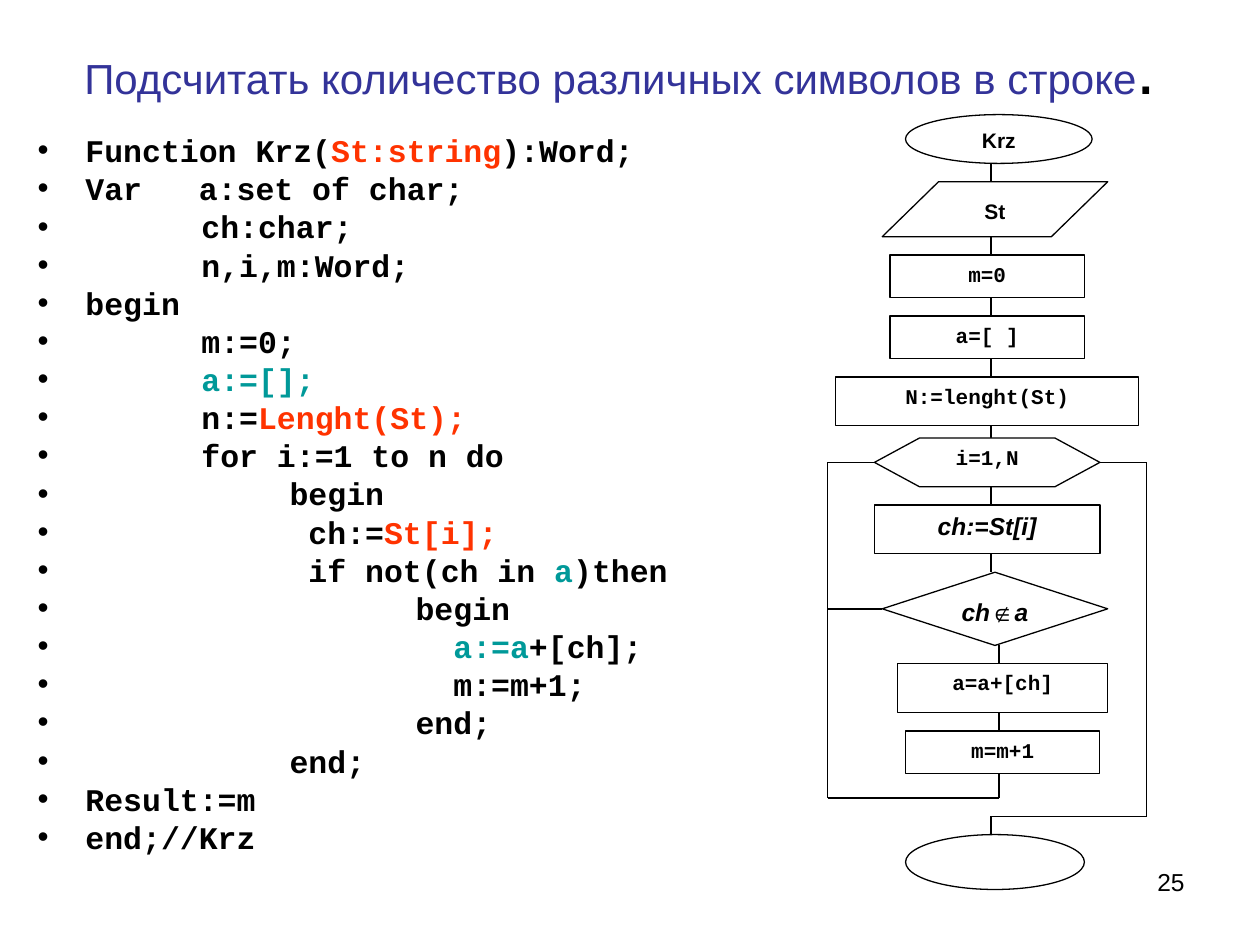
import pptx
import pptx.util
import pptx.dml.color
import pptx.enum.shapes
import pptx.enum.text
import lxml.etree

Inch, Pt = pptx.util.Inches, pptx.util.Pt
Kind = pptx.enum.shapes.MSO_SHAPE
Align = pptx.enum.text.PP_ALIGN
Anchor = pptx.enum.text.MSO_ANCHOR
NS = "http://schemas.openxmlformats.org/drawingml/2006/main"
HUES = {"ink": "000000", "title": "333399", "paper": "FFFFFF",
        "red": "FF3300", "teal": "009999"}
WIDE, HIGH = 10, 7.5
SANS, MONO = "Arial", "Courier New"

# Code lines: tab depth, then runs of text and colour
CODE = [
    (0, ("Function Krz(", "ink"), ("St:string", "red"), ("):Word;", "ink")),
    (0, ("Var   a:set of char;", "ink")),
    (1, ("  ch:char;", "ink")),
    (1, ("  n,i,m:Word;", "ink")),
    (0, ("begin", "ink")),
    (1, ("  m:=0;", "ink")),
    (1, ("  ", "ink"), ("a:=[];", "teal")),
    (1, ("  n:=", "ink"), ("Lenght(St);", "red")),
    (1, ("  for i:=1 to n do", "ink")),
    (2, ("begin", "ink")),
    (2, (" ch:=", "ink"), ("St[i];", "red")),
    (2, (" if not(ch in ", "ink"), ("a", "teal"), (")then", "ink")),
    (3, ("begin", "ink")),
    (3, ("  ", "ink"), ("a:=a", "teal"), ("+[ch];", "ink")),
    (3, ("  m:=m+1;", "ink")),
    (3, ("end;", "ink")),
    (2, ("end;", "ink")),
    (0, ("Result:=m", "ink")),
    (0, ("end;//Krz", "ink")),
]

# Flowchart steps on the grid: kind, left, right, top, bottom, text, font, size
COLS, ROWS = 41, 127
STEPS = [
    (Kind.OVAL, 10, 34, 0, 8, "Krz", SANS, 12),
    (Kind.PARALLELOGRAM, 7, 36, 11, 20, "St", SANS, 12),
    (Kind.RECTANGLE, 8, 33, 23, 30, "m=0", MONO, 12),
    (Kind.RECTANGLE, 8, 33, 33, 40, "a=[ ]", MONO, 12),
    (Kind.RECTANGLE, 1, 40, 43, 51, "N:=lenght(St)", MONO, 12),
    (Kind.FLOWCHART_PREPARATION, 6, 35, 53, 61, "i=1,N", MONO, 12),
    (Kind.RECTANGLE, 6, 35, 64, 72, "ch:=St[i]", SANS, 14),
    (Kind.FLOWCHART_DECISION, 7, 36, 75, 87, "ch∉a", SANS, 14),
    (Kind.RECTANGLE, 9, 36, 90, 98, "a=a+[ch]", MONO, 12),
    (Kind.RECTANGLE, 10, 35, 101, 108, "m=m+1", MONO, 12),
    (Kind.OVAL, 10, 33, 118, 127, "", SANS, 12),
]
# Loop paths: corner points as column, row
PATHS = [
    [(22, 108), (22, 112), (0, 112), (0, 57), (6, 57)],
    [(7, 81), (0, 81)],
    [(35, 57), (41, 57), (41, 115), (21, 115), (21, 118)],
]


def tint(hue):
    return pptx.dml.color.RGBColor.from_string(HUES[hue])


def style(font, name, size, hue="ink", bold=False, slant=False):
    font.name, font.size = name, Pt(size)
    font.bold, font.italic = bold, slant
    font.color.rgb = tint(hue)


def add_text(slide, box):
    frame = slide.shapes.add_textbox(*map(Inch, box)).text_frame
    frame.word_wrap = True
    return frame


def add_tag(parent, tag, **attrs):
    return lxml.etree.SubElement(parent, f"{{{NS}}}{tag}", **attrs)


def add_title(slide, box):
    head = slide.shapes.title
    head.left, head.top, head.width, head.height = map(Inch, box)
    frame = head.text_frame
    frame.auto_size = pptx.enum.text.MSO_AUTO_SIZE.NONE
    frame.word_wrap = True
    frame.vertical_anchor = Anchor.MIDDLE
    para = frame.paragraphs[0]
    para.alignment = Align.CENTER
    for text, size, hue in (
            ("Подсчитать количество различных символов в строке", 24, "title"),
            (". ", 40, "ink")):
        run = para.add_run()
        run.text = text
        style(run.font, SANS, size, hue)


def add_code(slide, box):
    frame = add_text(slide, box)
    for row, (depth, *runs) in enumerate(CODE):
        para = frame.add_paragraph() if row else frame.paragraphs[0]
        para.line_spacing = 0.8
        para.space_before = Pt(4.5 if row else 0)
        # Bullet, hanging indent and tab stops
        props = para._p.get_or_add_pPr()
        props.set("marL", str(Inch(0.38)))
        props.set("indent", str(Inch(-0.38)))
        add_tag(add_tag(props, "buClr"), "srgbClr", val=HUES["ink"])
        add_tag(props, "buFont", typeface=SANS)
        add_tag(props, "buChar", char="•")
        tabs = add_tag(props, "tabLst")
        for stop in range(1, 9):
            add_tag(tabs, "tab", pos=str(Inch(stop)), algn="l")
        style(para.font, MONO, 18, bold=True)
        for part, (text, hue) in enumerate(runs):
            run = para.add_run()
            run.text = text if part else "\t" * depth + text
            run.font.color.rgb = tint(hue)


def add_flow(slide, box):
    left, top, wide, high = box

    def spot(col, row):
        return Inch(left + wide * col / COLS), Inch(top + high * row / ROWS)

    def join(start, end):
        line = slide.shapes.add_connector(
            pptx.enum.shapes.MSO_CONNECTOR.STRAIGHT, *spot(*start), *spot(*end))
        line.line.color.rgb = tint("ink")
        line.line.width = Pt(0.75)
        add_tag(line._element.spPr, "effectLst")

    # Links down the chain, then the loop paths
    for step, after in zip(STEPS[:-2], STEPS[1:-1]):
        col = 22 if step[4] >= 87 else 21
        join((col, step[4]), (col, after[3]))
    for points in PATHS:
        for start, end in zip(points, points[1:]):
            join(start, end)

    # Steps
    for kind, west, east, north, south, text, name, size in STEPS:
        x, y = spot(west, north)
        right, low = spot(east, south)
        step = slide.shapes.add_shape(kind, x, y, right - x, low - y)
        step.shadow.inherit = False
        step.fill.solid()
        step.fill.fore_color.rgb = tint("paper")
        step.line.color.rgb = tint("ink")
        step.line.width = Pt(0.75)
        if kind == Kind.PARALLELOGRAM:
            step.adjustments[0] = 1.025
        if text:
            frame = step.text_frame
            frame.word_wrap = True
            frame.vertical_anchor = Anchor.TOP
            para = frame.paragraphs[0]
            para.alignment = Align.CENTER
            style(para.font, name, size, bold=True, slant=size == 14)
            para.add_run().text = text


def add_count(slide, box):
    para = add_text(slide, box).paragraphs[0]
    para.alignment = Align.RIGHT
    style(para.font, SANS, 14)
    para.add_run().text = "25"


def main():
    deck = pptx.Presentation()
    deck.slide_width, deck.slide_height = Inch(WIDE), Inch(HIGH)
    slide = deck.slides.add_slide(deck.slide_layouts[5])
    add_title(slide, (0.05 * WIDE, 0.04 * HIGH, 0.9 * WIDE, 0.06 * HIGH))
    add_code(slide, (0.02 * WIDE, 0.14 * HIGH, 0.53 * WIDE, 0.8 * HIGH))
    add_flow(slide, (6.57, 0.91, 2.53, 6.15))
    add_count(slide, (7.17, 6.83, 2.33, 0.52))
    deck.save("out.pptx")


if __name__ == "__main__":
    main()
